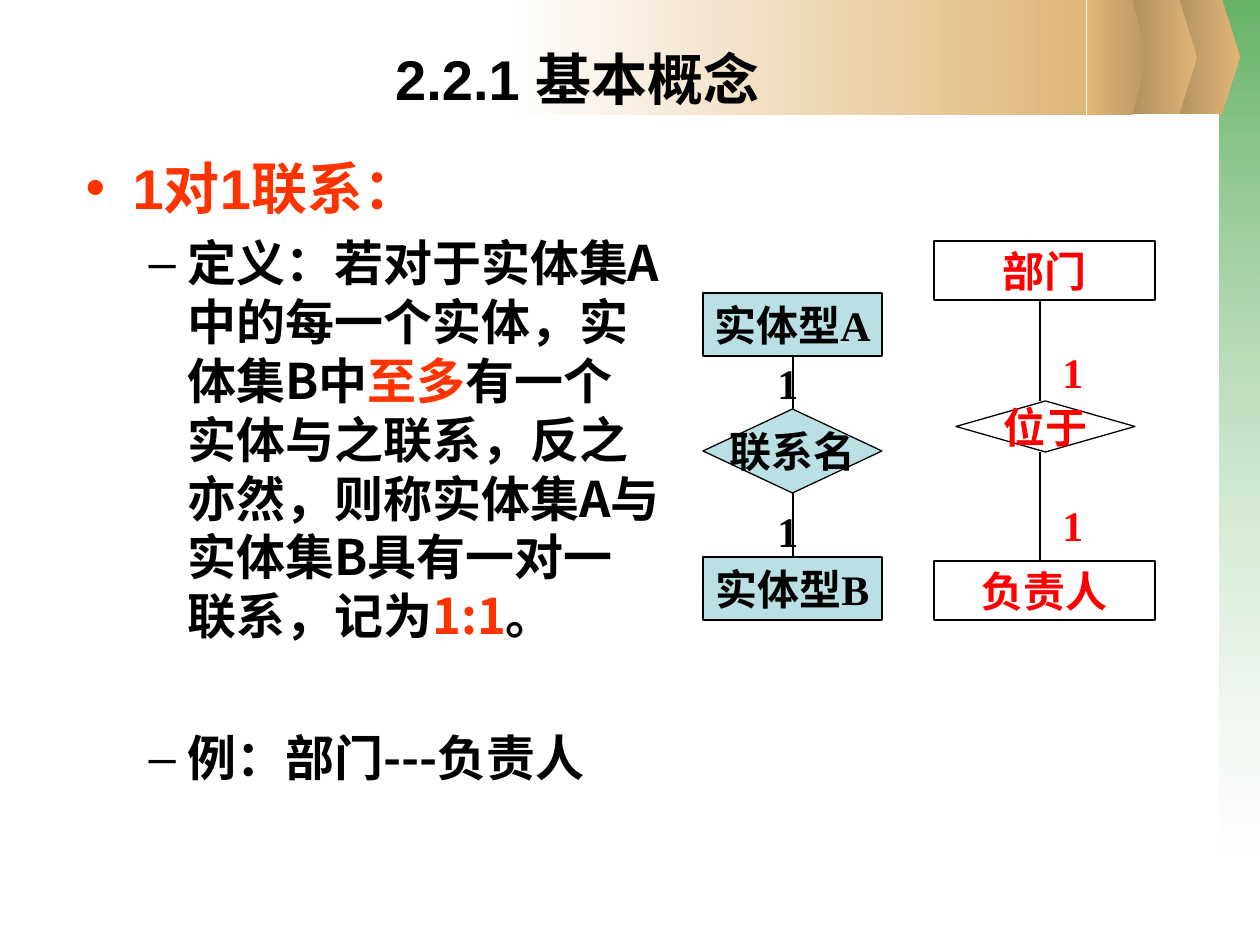
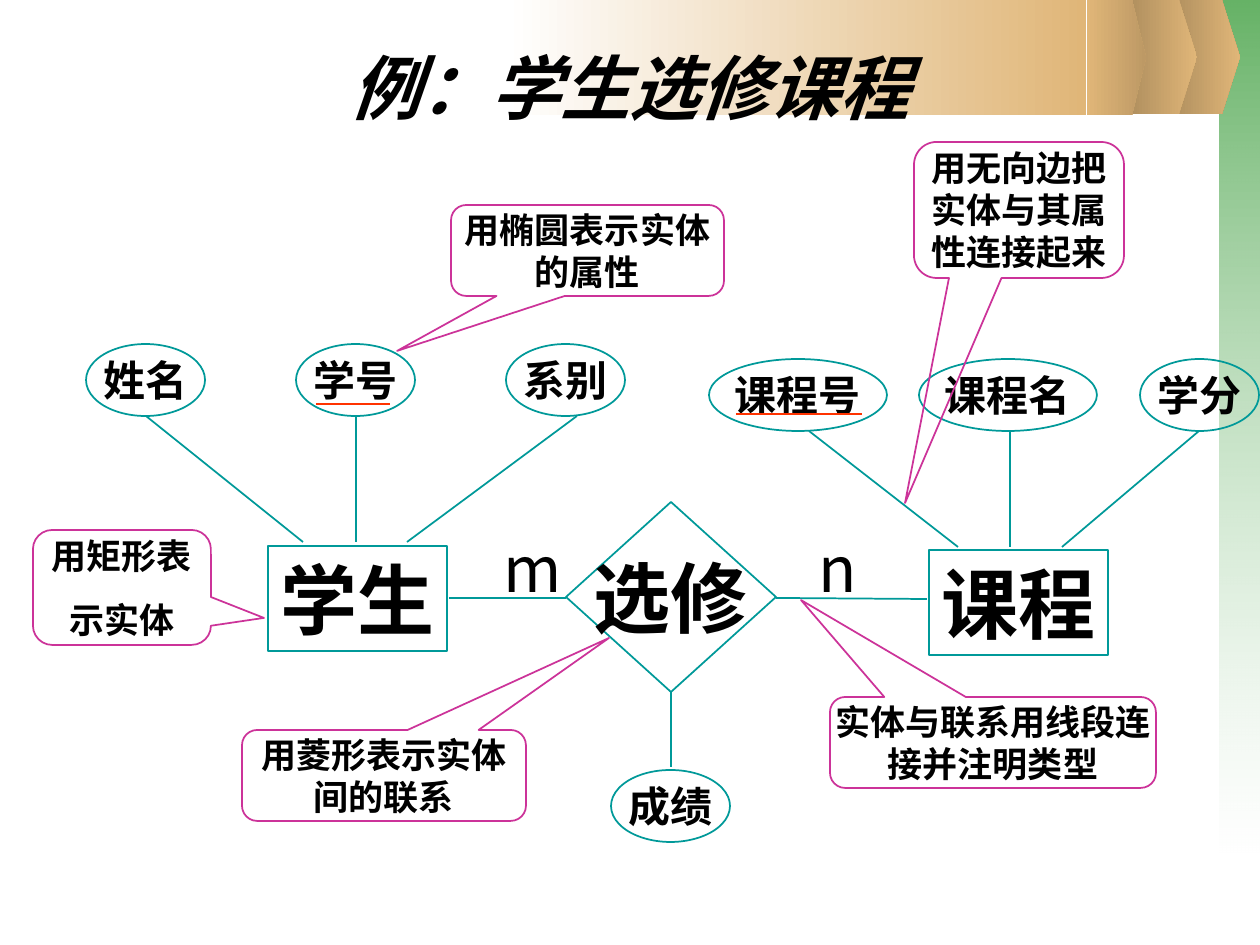
from dataclasses import dataclass

from lxml.etree import SubElement
from pptx import Presentation
from pptx.dml.color import RGBColor
from pptx.enum.shapes import MSO_CONNECTOR, MSO_SHAPE
from pptx.enum.text import MSO_ANCHOR, PP_ALIGN
from pptx.oxml.ns import qn
from pptx.util import Emu, Pt

EMU_PER_PX = 914400 / 126


@dataclass(frozen=True)
class Theme:
    black: str = "000000"
    white: str = "FFFFFF"
    accent: str = "FF3300"
    red: str = "FF0000"
    pale_teal: str = "BBE0E3"
    teal: str = "009999"
    magenta: str = "CC3399"
    green: str = "339933"
    sand: str = "E0B678"
    sand_shade: str = "BD9965"
    sand_dark: str = "AB8B5C"
    heading_font: str = "Arial"
    serif_font: str = "Times New Roman"
    chinese_font: str = "Noto Sans CJK SC"
    diagram_font: str = "Noto Sans CJK JP"
    note_size: float = 20
    label_size: float = 24
    body_size: float = 28
    heading_size: float = 32
    cardinality_size: float = 36
    example_size: float = 40
    entity_size: float = 44
    thin: float = 0.75
    line: float = 1


THEME = Theme()


def px(value):
    return Emu(round(value * EMU_PER_PX))


def rgb(color):
    return RGBColor.from_string(color)


def style(paragraph, size, font, color=THEME.black, bold=True, italic=False,
          align=PP_ALIGN.CENTER, before=0):
    paragraph.alignment = align
    paragraph.space_before = Pt(before)
    paragraph.font.size = Pt(size)
    paragraph.font.bold = bold
    paragraph.font.italic = italic
    paragraph.font.color.rgb = rgb(color)
    paragraph.font.name = font
    east_asian = font if font == THEME.diagram_font else THEME.chinese_font
    SubElement(paragraph.font._rPr, qn("a:ea"), typeface=east_asian)


def write(shape, text, size, font, inset=True, wrap=False, before=0, **look):
    """Centre the text in the shape, one paragraph per line of text."""
    frame = shape.text_frame
    frame.word_wrap = wrap
    frame.vertical_anchor = MSO_ANCHOR.MIDDLE
    if not inset:
        frame.margin_left = frame.margin_right = 0
        frame.margin_top = frame.margin_bottom = 0
    frame.text = text
    for index, paragraph in enumerate(frame.paragraphs):
        style(paragraph, size, font, before=before if index else 0, **look)


def add_outline(slide, kind, box, color, width, fill=None):
    shape = slide.shapes.add_shape(kind, *map(px, box))
    shape.shadow.inherit = False
    if fill:
        shape.fill.solid()
        shape.fill.fore_color.rgb = rgb(fill)
    else:
        shape.fill.background()
    shape.line.color.rgb = rgb(color)
    shape.line.width = Pt(width)
    return shape


def add_line(slide, start, end, color, width):
    line = slide.shapes.add_connector(MSO_CONNECTOR.STRAIGHT, *map(px, (*start, *end)))
    line.line.color.rgb = rgb(color)
    line.line.width = Pt(width)
    SubElement(line._element.spPr, qn("a:effectLst"))


def add_label(slide, box, text, size, font, **look):
    write(slide.shapes.add_textbox(*map(px, box)), text, size, font, **look)


def paint_gradient(shape, colors, angle=0, opacities=()):
    shape.shadow.inherit = False
    shape.line.fill.background()
    shape.fill.gradient()
    shape.fill.gradient_angle = angle
    stops = shape.fill.gradient_stops
    for stop, color in zip(stops, colors):
        stop.color.rgb = rgb(color)
    color_elements = shape._element.spPr.iter(qn("a:srgbClr"))
    for element, opacity in zip(color_elements, opacities):
        SubElement(element, qn("a:alpha"), val=str(opacity * 1000))


def add_chevron(slide, left, shoulder, width, colors, height=114):
    builder = slide.shapes.build_freeform(px(left), px(0), scale=1.0)
    points = [(shoulder, 0), (width, height / 2), (shoulder, height), (0, height)]
    builder.add_line_segments([(px(left + x), px(y)) for x, y in points], close=True)
    paint_gradient(builder.convert_to_shape(), colors)


def add_backdrop(slide):
    """Draw the side and top bands, then lift the placeholders above them."""
    placeholders = list(slide.placeholders)
    side = slide.shapes.add_shape(MSO_SHAPE.RECTANGLE, *map(px, (1220, 0, 40, 853)))
    paint_gradient(side, (THEME.green, THEME.white), 270, (75, 37))
    for left in (1166, 1123):
        add_chevron(slide, left, 56, 74, (THEME.sand_dark, THEME.sand))
    band = slide.shapes.add_shape(MSO_SHAPE.RECTANGLE, *map(px, (506, 0, 580, 115)))
    paint_gradient(band, (THEME.white, THEME.sand))
    add_chevron(slide, 1087, 45, 59, (THEME.sand, THEME.sand_shade), 115)
    for placeholder in placeholders:
        slide.shapes._spTree.append(placeholder._element)


def place(placeholder, box):
    placeholder.left, placeholder.top, placeholder.width, placeholder.height = map(px, box)


def start_slide(presentation, layout, title, box, size, italic=False):
    slide = presentation.slides.add_slide(presentation.slide_layouts[layout])
    add_backdrop(slide)
    place(slide.shapes.title, box)
    write(slide.shapes.title, title, size, THEME.heading_font, wrap=True, italic=italic)
    return slide


def add_bullet(paragraph, character, color, indent, hanging):
    properties = paragraph._p.get_or_add_pPr()
    properties.set("marL", str(px(indent)))
    properties.set("indent", str(-px(hanging)))
    bullet_color = SubElement(properties, qn("a:buClr"))
    SubElement(bullet_color, qn("a:srgbClr"), val=color)
    SubElement(properties, qn("a:buFont"), typeface=THEME.heading_font)
    SubElement(properties, qn("a:buChar"), char=character)


def fill_definition(body, box):
    place(body, box)
    frame = body.text_frame
    frame.word_wrap = True
    frame.vertical_anchor = MSO_ANCHOR.TOP
    heading = frame.paragraphs[0]
    heading.text = "1对1联系："
    add_bullet(heading, "•", THEME.accent, 47, 47)
    style(heading, THEME.heading_size, THEME.heading_font, THEME.accent,
          align=PP_ALIGN.LEFT)
    items = [
        (7, ["定义：若对于实体集A中的每一个实体，实体集B中", "至多",
             "有一个实体与之联系，反之亦然，则称实体集A与实体集B具有一对一联系，记为",
             "1:1", "。"]),
        (47.5, ["例：部门---负责人"]),
    ]
    for before, parts in items:
        paragraph = frame.add_paragraph()
        paragraph.level = 1
        add_bullet(paragraph, "–", THEME.black, 102, 39)
        style(paragraph, THEME.body_size, THEME.chinese_font,
              align=PP_ALIGN.LEFT, before=before)
        for index, part in enumerate(parts):
            run = paragraph.add_run()
            run.text = part
            if index % 2:
                run.font.color.rgb = rgb(THEME.accent)


def add_one_to_one(slide, box, names, entity_height, diamond, line_x, label_boxes,
                   kinds, color, fill=None):
    """Stack entity, relationship and entity; inner boxes are relative to the box."""
    left, top, width, height = box
    diamond_x, diamond_y, diamond_width, diamond_height = diamond
    lower = height - entity_height
    boxes = [(0, 0, width, entity_height), diamond, (0, lower, width, entity_height)]
    entity_kind, relationship_kind = kinds
    shape_kinds = (entity_kind, relationship_kind, entity_kind)
    for name, kind, (x, y, *size) in zip(names, shape_kinds, boxes):
        shape = add_outline(slide, kind, (left + x, top + y, *size),
                            THEME.black, THEME.thin, fill)
        write(shape, name, THEME.label_size, THEME.serif_font, color=color)
    for start, end in ((entity_height, diamond_y), (diamond_y + diamond_height, lower)):
        add_line(slide, (left + line_x, top + start), (left + line_x, top + end),
                 THEME.black, THEME.thin)
    for x, y in label_boxes:
        add_label(slide, (left + x, top + y, 45, 63), "1", THEME.label_size,
                  THEME.serif_font, color=color)


def build_concept_slide(presentation):
    slide = start_slide(presentation, 1, "2.2.1 基本概念", (42, 42, 1071, 73),
                        THEME.heading_size)
    fill_definition(slide.placeholders[1], (73, 147, 599, 667))
    add_one_to_one(
        slide, (703, 293, 179, 327), ("实体型A", "联系名", "实体型B"), 63,
        (0, 116, 179, 84), 90, [(62, 58), (62, 206)],
        (MSO_SHAPE.FLOWCHART_PROCESS, MSO_SHAPE.FLOWCHART_DECISION),
        THEME.black, THEME.pale_teal)
    add_one_to_one(
        slide, (934, 241, 221, 379), ("部门", "位于", "负责人"), 59,
        (22, 160, 179, 51), 106, [(116, 99), (116, 252)],
        (MSO_SHAPE.RECTANGLE, MSO_SHAPE.DIAMOND), THEME.red)


def add_attribute(slide, left, top, width, name):
    ellipse = add_outline(slide, MSO_SHAPE.OVAL, (left, top, width, 72),
                          THEME.teal, THEME.line)
    write(ellipse, name, THEME.label_size, THEME.diagram_font, inset=False)


def add_entity(slide, kind, box, name):
    shape = add_outline(slide, kind, box, THEME.teal, THEME.line)
    write(shape, name, THEME.entity_size, THEME.diagram_font)


def add_attributed_entity(slide, left, top, name, entity_box, attributes, reach, key):
    """Join attributes (name, x, width, line start, line end) to their entity."""
    x, y, width, height = entity_box
    add_entity(slide, MSO_SHAPE.RECTANGLE, (left + x, top + y, width, height), name)
    for attribute, offset, oval_width, start, end in attributes:
        add_attribute(slide, left + offset, top, oval_width, attribute)
        add_line(slide, (left + start, top + 72), (left + end, top + reach),
                 THEME.teal, THEME.line)
    key_x, key_y, key_width = key
    add_line(slide, (left + key_x, top + key_y), (left + key_x + key_width, top + key_y),
             THEME.accent, THEME.thin)


def add_callout(slide, box, tip, text, before=0):
    left, top, width, height = box
    callout = add_outline(slide, MSO_SHAPE.ROUNDED_RECTANGULAR_CALLOUT, box,
                          THEME.magenta, THEME.line)
    callout.adjustments[0] = (tip[0] - left) / width - 0.5
    callout.adjustments[1] = (tip[1] - top) / height - 0.5
    callout.adjustments[2] = 0.167
    write(callout, text, THEME.note_size, THEME.chinese_font, inset=False, wrap=True,
          before=before)


def add_relationship(slide, left, top, width, height):
    """Draw the relationship with its attribute, edges and cardinalities."""
    middle, centre = top + 96, left + width / 2
    add_entity(slide, MSO_SHAPE.DIAMOND, (left, top, width, height), "选修")
    edges = [((left - 117, middle), (left, middle)),
             ((left + width, middle), (left + width + 151, middle + 1)),
             ((centre, top + height), (centre, top + height + 75))]
    for start, end in edges:
        add_line(slide, start, end, THEME.teal, THEME.line)
    add_attribute(slide, centre - 60, top + height + 78, 119, "成绩")
    for x, cardinality in ((-75, "m"), (240, "n")):
        add_label(slide, (left + x, top + 44, 42, 42), cardinality,
                  THEME.cardinality_size, THEME.diagram_font, bold=False)


def build_example_slide(presentation):
    slide = start_slide(presentation, 5, "例：学生选修课程", (63, 38, 1134, 97),
                        THEME.example_size, italic=True)
    add_attributed_entity(
        slide, 86, 344, "学生", (182, 202, 179, 105),
        [("姓名", 0, 119, 60, 217), ("学号", 210, 119, 270, 270),
         ("系别", 420, 119, 491, 321)], 198, (230, 60, 74))
    add_attributed_entity(
        slide, 709, 359, "课程", (220, 191, 179, 105),
        [("课程号", 0, 178, 100, 249), ("课程名", 210, 178, 301, 301),
         ("学分", 431, 119, 490, 353)], 188, (27, 55, 126))
    add_relationship(slide, 566, 502, 210, 190)
    add_callout(slide, (33, 530, 178, 115), (264, 618), "用矩形表\n示实体", before=12.5)
    callouts = [
        ((451, 205, 273, 91), (397, 351), "用椭圆表示实体的属性"),
        ((914, 142, 210, 136), (905, 503), "用无向边把实体与其属性连接起来"),
        ((242, 730, 284, 91), (609, 638), "用菱形表示实体间的联系"),
        ((830, 697, 326, 91), (801, 600), "实体与联系用线段连接并注明类型"),
    ]
    for box, tip, text in callouts:
        add_callout(slide, box, tip, text)


def main():
    presentation = Presentation()
    presentation.slide_width = px(1260)
    presentation.slide_height = px(945)
    build_concept_slide(presentation)
    build_example_slide(presentation)
    presentation.save("out.pptx")


if __name__ == "__main__":
    main()
